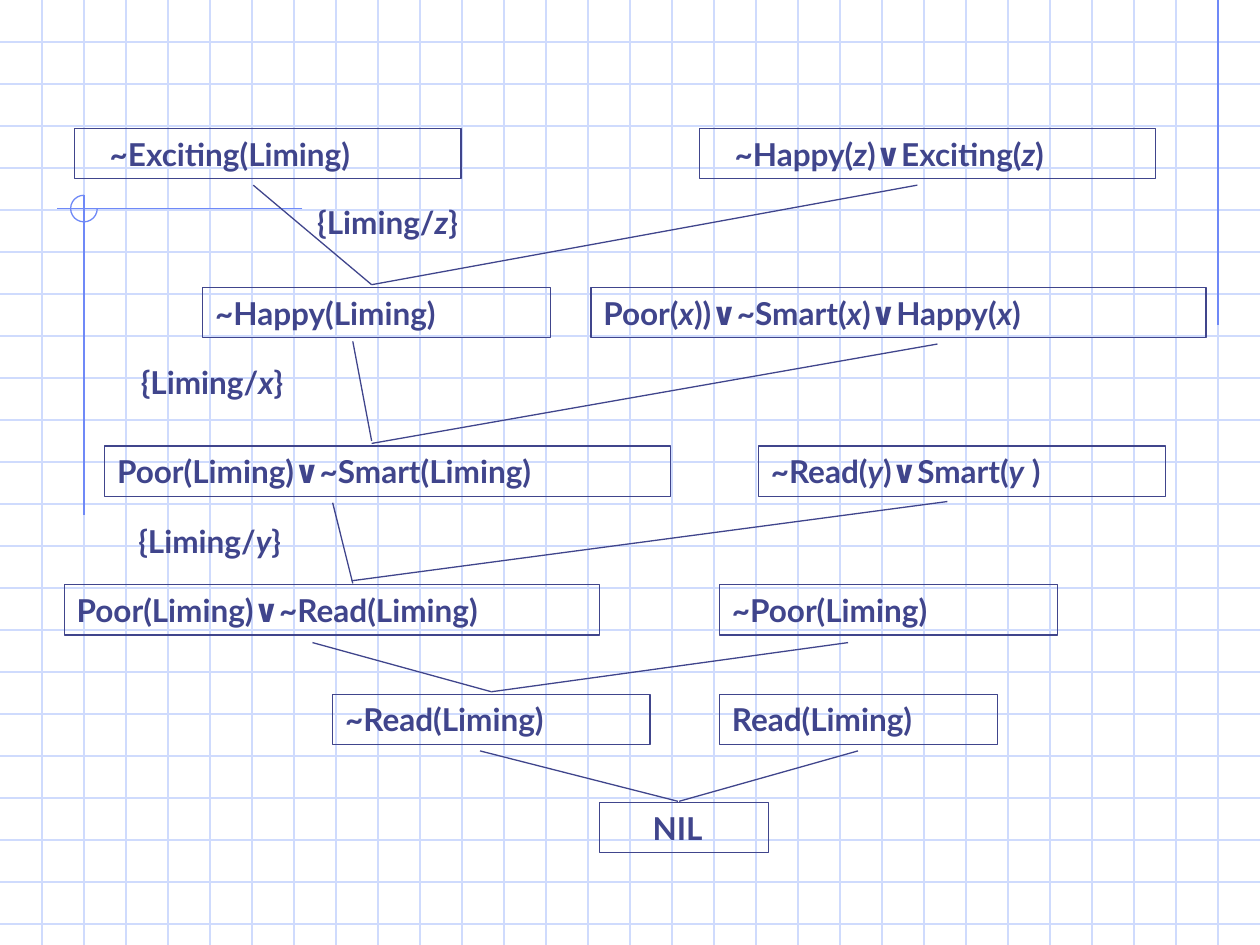
from dataclasses import dataclass

from lxml import etree
from pptx import Presentation
from pptx.dml.color import RGBColor
from pptx.enum.shapes import MSO_CONNECTOR, MSO_SHAPE
from pptx.enum.text import MSO_ANCHOR, MSO_AUTO_SIZE, PP_ALIGN
from pptx.oxml.ns import qn
from pptx.util import Pt

STRAIGHT = MSO_CONNECTOR.STRAIGHT
RECTANGLE, ARC = MSO_SHAPE.RECTANGLE, MSO_SHAPE.ARC
TOP, LEFT = MSO_ANCHOR.TOP, PP_ALIGN.LEFT
GROW = MSO_AUTO_SIZE.SHAPE_TO_FIT_TEXT


@dataclass(frozen=True)
class Theme:
    paper: RGBColor = RGBColor(0xFF, 0xFF, 0xFF)
    grid: RGBColor = RGBColor(0xCF, 0xDB, 0xFD)
    accent: RGBColor = RGBColor(0x6F, 0x89, 0xF7)
    ink: RGBColor = RGBColor(0x40, 0x45, 0x8C)
    font: str = "Lato"
    size: float = 18
    stroke: float = 0.75


@dataclass(frozen=True)
class Box:
    left: float
    top: float
    width: float
    height: float


THEME = Theme()
PAGE = Box(0, 0, 720, 540)
PROOF = Box(36.7, 73.4, 652.4, 414)
GRID_STEP = 24
CLAUSE_HEIGHT = 28.8
INSET = 7.2

# Each row: top, then (left, width, extra indent, clause); *x* is italic
CLAUSE_ROWS = [
    (0, [(5.8, 221, 13, "~Exciting(Liming)"),
         (362.9, 260.6, 13, "~Happy(*z*)∨Exciting(*z*)")]),
    (90.8, [(79.2, 198.7, 0, "~Happy(Liming)"),
            (301, 351.4, 0, "Poor(*x*))∨~Smart(*x*)∨Happy(*x*)")]),
    (181.5, [(23.1, 323.3, 0, "Poor(Liming)∨~Smart(Liming)"),
             (396.7, 232.6, 0, "~Read(*y*)∨Smart(*y* )")]),
    (260.7, [(0, 306, 0, "Poor(Liming)∨~Read(Liming)"),
             (374.4, 193, 0, "~Poor(Liming)")]),
    (323.3, [(153.4, 181.4, 0, "~Read(Liming)"),
             (374.4, 159.1, 0, "Read(Liming)")]),
    (385.2, [(306, 96.5, 23, "NIL")]),
]

# Each resolution step: both parents lead to the resolvent below
RESOLUTIONS = [
    ((108, 32.4), (175.7, 89.3)), ((487.5, 32.4), (175.7, 89.3)),
    ((164.9, 121.7), (175.7, 178.6)), ((499, 123.2), (175.7, 180)),
    ((153.4, 213.9), (164.9, 260)), ((504.7, 213.2), (164.2, 258.5)),
    ((141.9, 293.8), (244.1, 321.9)), ((447.9, 293.8), (244.1, 321.9)),
    ((237.6, 355.7), (350.7, 384.5)), ((453.6, 355.7), (351.4, 384.5)),
]

SUBSTITUTIONS = [
    (137.5, 38.9, 106.6, "{Liming/*z*}"),
    (36.7, 130.4, 128.2, "{Liming/*x*}"),
    (35.3, 221.1, 112.3, "{Liming/*y*}"),
]


def add_line(slide, box, start, end, color):
    line = slide.shapes.add_connector(
        STRAIGHT,
        Pt(box.left + start[0]), Pt(box.top + start[1]),
        Pt(box.left + end[0]), Pt(box.top + end[1]))
    line.line.color.rgb = color
    line.line.width = Pt(THEME.stroke)
    etree.SubElement(line._element.spPr, qn("a:effectLst"))


def write_formula(shape, formula, indent=0):
    frame = shape.text_frame
    frame.word_wrap = True
    frame.auto_size = GROW
    frame.vertical_anchor = TOP
    frame.margin_left = Pt(INSET + indent)
    frame.margin_right = Pt(INSET)
    frame.margin_top = frame.margin_bottom = Pt(INSET / 2)
    paragraph = frame.paragraphs[0]
    paragraph.alignment = LEFT
    for index, part in enumerate(formula.split("*")):
        if not part:
            continue
        run = paragraph.add_run()
        run.text = part
        run.font.name = THEME.font
        run.font.size = Pt(THEME.size)
        run.font.bold = True
        run.font.italic = index % 2 == 1
        run.font.color.rgb = THEME.ink


def add_outline(slide, kind, box):
    shape = slide.shapes.add_shape(
        kind, Pt(box.left), Pt(box.top), Pt(box.width), Pt(box.height))
    shape.shadow.inherit = False
    shape.fill.background()
    shape.line.width = Pt(THEME.stroke)
    return shape


def draw_backdrop(slide, box):
    # Squared paper
    for y in range(GRID_STEP, box.height, GRID_STEP):
        add_line(slide, box, (0, y), (box.width, y), THEME.grid)
    for x in range(GRID_STEP, box.width, GRID_STEP):
        add_line(slide, box, (x, 0), (x, box.height), THEME.grid)

    # Drafting marks
    for start, end in [((696, 0), (696, 186)),
                       ((172.8, 119.3), (32.4, 119.3)),
                       ((48, 111.6), (48, 294.5))]:
        add_line(slide, box, start, end, THEME.accent)
    ring = add_outline(
        slide, ARC, Box(box.left + 40.4, box.top + 111.6, 15.2, 15.2))
    ring.adjustments[0] = 0
    ring.adjustments[1] = 162  # 270 degrees in the shape's units
    ring.line.color.rgb = THEME.accent


def draw_proof(slide, box):
    # Clauses
    for top, clauses in CLAUSE_ROWS:
        for left, width, indent, formula in clauses:
            clause = add_outline(slide, RECTANGLE, Box(
                box.left + left, box.top + top, width, CLAUSE_HEIGHT))
            clause.line.color.rgb = THEME.ink
            write_formula(clause, formula, indent)

    # Resolution lines
    for parent, resolvent in RESOLUTIONS:
        add_line(slide, box, parent, resolvent, THEME.ink)

    # Substitutions
    for left, top, width, formula in SUBSTITUTIONS:
        substitution = slide.shapes.add_textbox(
            Pt(box.left + left), Pt(box.top + top),
            Pt(width), Pt(CLAUSE_HEIGHT))
        write_formula(substitution, formula)


def main():
    deck = Presentation()
    deck.slide_width, deck.slide_height = Pt(PAGE.width), Pt(PAGE.height)
    slide = deck.slides.add_slide(deck.slide_layouts[6])
    slide.background.fill.solid()
    slide.background.fill.fore_color.rgb = THEME.paper
    draw_backdrop(slide, PAGE)
    draw_proof(slide, PROOF)
    deck.save("out.pptx")


if __name__ == "__main__":
    main()
